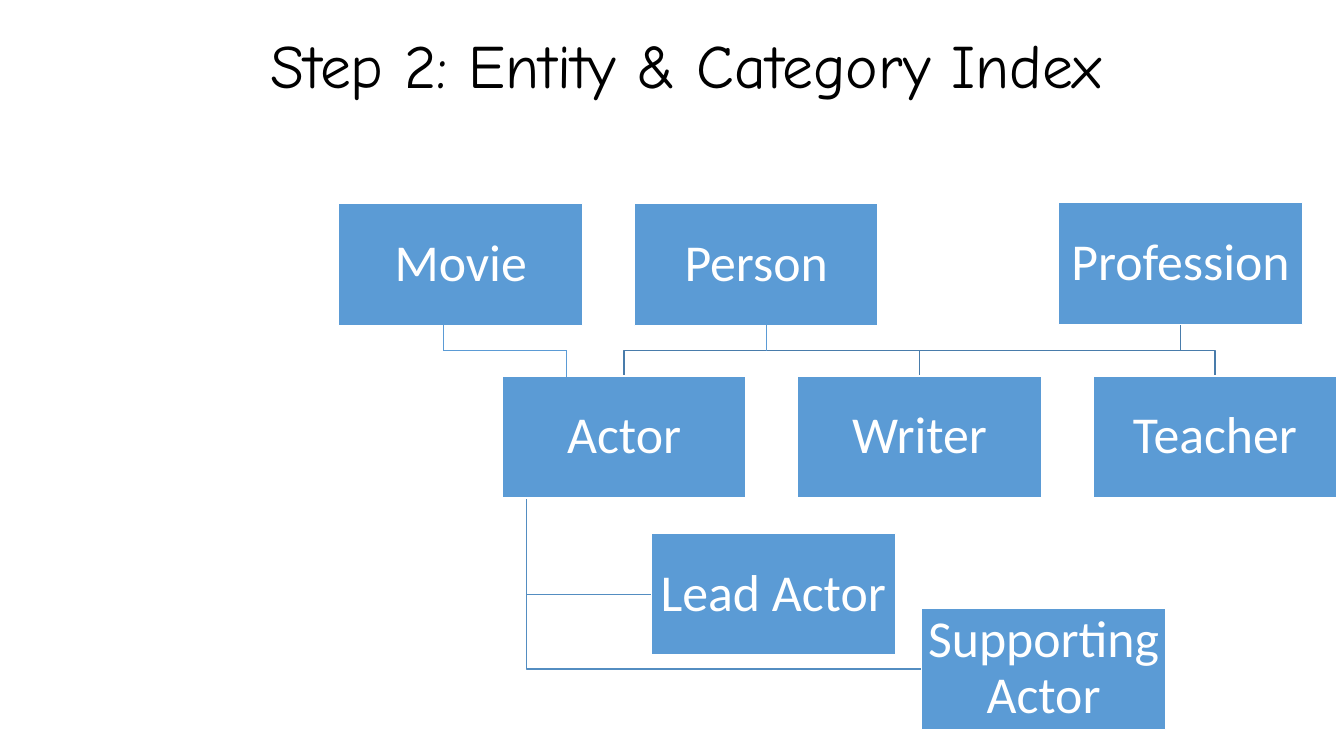
from dataclasses import dataclass

from lxml import etree
from pptx import Presentation
from pptx.dml.color import RGBColor
from pptx.enum.shapes import MSO_CONNECTOR, MSO_SHAPE
from pptx.enum.text import MSO_ANCHOR, PP_ALIGN
from pptx.oxml.ns import qn
from pptx.util import Inches, Pt

RECTANGLE = MSO_SHAPE.RECTANGLE
STRAIGHT = MSO_CONNECTOR.STRAIGHT
MIDDLE = MSO_ANCHOR.MIDDLE
CENTER = PP_ALIGN.CENTER


@dataclass(frozen=True)
class Theme:
    title_font: str = "Comic Neue"
    box_font: str = "Calibri"
    title_size: Pt = Pt(44)
    box_size: Pt = Pt(37)
    black: RGBColor = RGBColor.from_string("000000")
    white: RGBColor = RGBColor.from_string("FFFFFF")
    blue: RGBColor = RGBColor.from_string("5B9BD5")
    profession_line: RGBColor = RGBColor.from_string("497CAB")
    actor_line: RGBColor = RGBColor.from_string("538DC1")


theme = Theme()


def write_text(shape, text, font, size, color):
    frame = shape.text_frame
    frame.word_wrap = True
    para = frame.paragraphs[0]
    para.text = text
    para.alignment = CENTER
    para.line_spacing = 0.9
    para.font.name = font
    para.font.size = size
    para.font.color.rgb = color
    return frame


def draw_branch(page, points, color):
    corners = [(Inches(x), Inches(y)) for x, y in points]
    builder = page.shapes.build_freeform(*corners[0])
    builder.add_line_segments(corners[1:], close=False)
    branch = builder.convert_to_shape()
    branch.shadow.inherit = False
    branch.fill.background()
    branch.line.color.rgb = color
    branch.line.width = Pt(1)


deck = Presentation()
deck.slide_width = Inches(13.33)
deck.slide_height = Inches(7.5)
page = deck.slides.add_slide(deck.slide_layouts[6])

# Title
title = page.shapes.add_textbox(Inches(0.28), Inches(0.3), Inches(13.06), Inches(0.64))
write_text(title, "Step 2: Entity & Category Index",
           theme.title_font, theme.title_size, theme.black)

# Box positions: left and top
box_width, box_height = 2.42, 1.21
role_left, role_step, role_top = 4.98, 2.93, 3.73
boxes = {
    "Movie": (3.36, 2.02),
    "Person": (6.29, 2.02),
    "Profession": (10.5, 2.01),
    "Lead Actor": (6.46, 5.29),
    "Supporting Actor": (9.14, 6.03),
}
roles = ["Actor", "Writer", "Teacher"]
for index, role in enumerate(roles):
    boxes[role] = (role_left + index * role_step, role_top)

# Branches from Profession down to the roles
profession_left, profession_top = boxes["Profession"]
trunk = profession_left + box_width / 2
bar = 3.48
for role in reversed(roles):
    center = boxes[role][0] + box_width / 2
    draw_branch(page, [(trunk, profession_top + box_height), (trunk, bar),
                       (center, bar), (center, role_top)], theme.profession_line)

# Branches from Actor to the kinds of actor
stem = role_left + box_width / 10
for kind in ("Lead Actor", "Supporting Actor"):
    left, top = boxes[kind]
    middle = top + box_height / 2
    draw_branch(page, [(stem, role_top + box_height), (stem, middle), (left, middle)],
                theme.actor_line)

# Boxes
for name, (left, top) in boxes.items():
    box = page.shapes.add_shape(RECTANGLE, Inches(left), Inches(top),
                                Inches(box_width), Inches(box_height))
    box.shadow.inherit = False
    box.fill.solid()
    box.fill.fore_color.rgb = theme.blue
    box.line.color.rgb = theme.white
    box.line.width = Pt(1)
    frame = write_text(box, name, theme.box_font, theme.box_size, theme.white)
    frame.vertical_anchor = MIDDLE
    frame.margin_left = frame.margin_right = Inches(0.03)
    frame.margin_top = frame.margin_bottom = Inches(0.03)

# Thin links from Movie and Person
links = [
    (4.4, 3.04, 4.4, bar),
    (7.6, 3.04, 7.6, bar),
    (4.4, bar, 5.62, bar),
    (5.62, bar, 5.62, 3.75),
]
for ends in links:
    link = page.shapes.add_connector(STRAIGHT, *map(Inches, ends))
    link.line.color.rgb = theme.blue
    link.line.width = Pt(0.5)
    etree.SubElement(link._element.spPr, qn("a:effectLst"))

deck.save("out.pptx")
